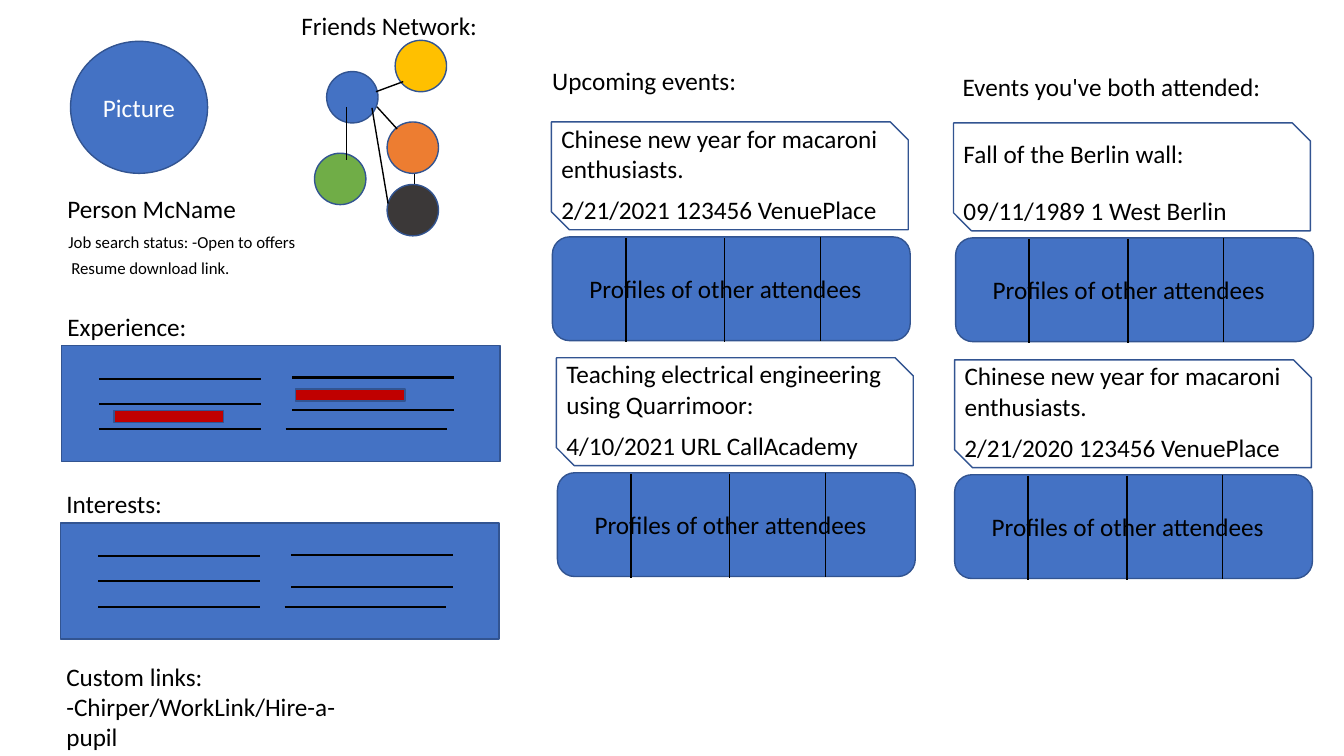
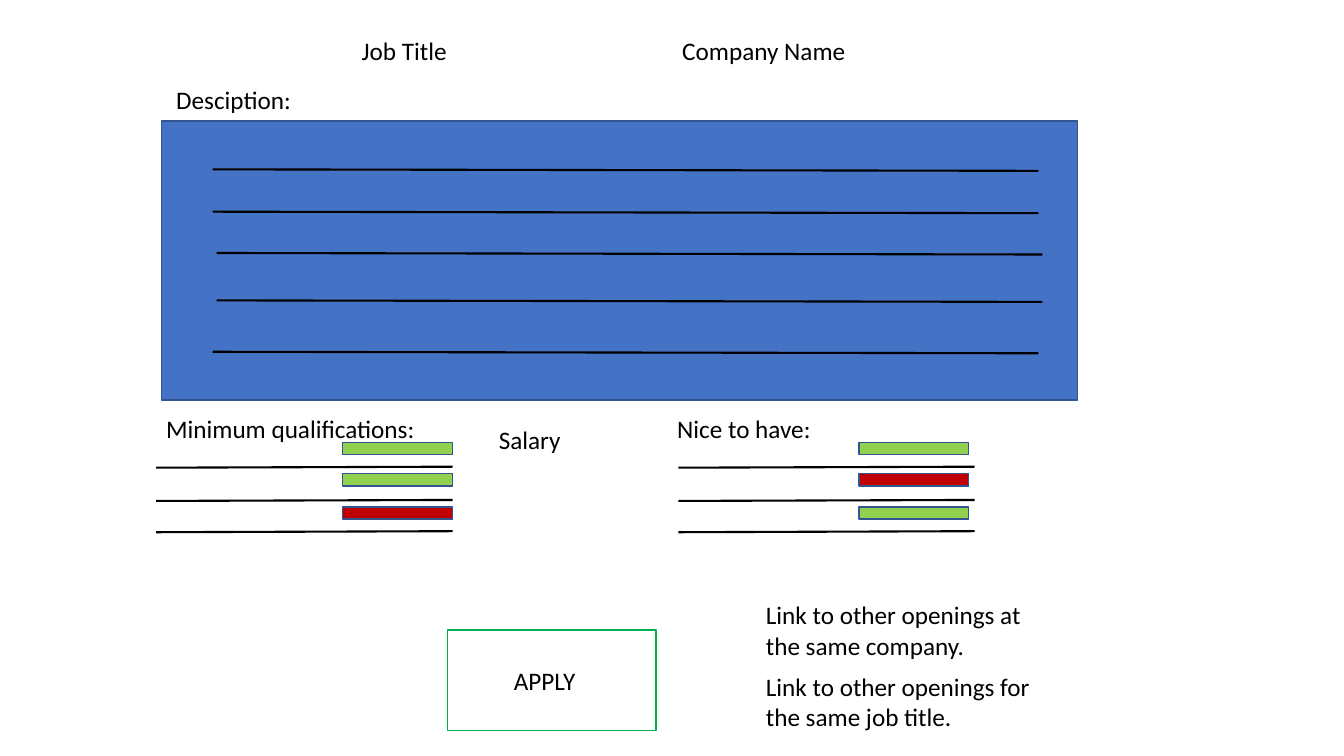
import lxml.etree
import pptx
import pptx.dml.color
import pptx.enum.shapes
import pptx.enum.text
import pptx.oxml.ns
import pptx.util

COLORS = {
    "blue": "4472C4", "outline": "325491", "ink": "000000", "white": "FFFFFF",
    "yellow": "FFC000", "orange": "ED7D31", "charcoal": "3B3838", "green": "70AD47",
    "red": "C00000", "lime": "92D050", "apply": "00B050",
}
FONT = "Calibri"
CELL = pptx.util.Inches(0.1)  # side of a grid cell; all lengths count cells
SLIDE_COLUMNS, SLIDE_ROWS = 133.33, 75
BODY, SMALL = 18, 12
RULE, HAIRLINE = 1.5, 1
SHAPES = pptx.enum.shapes.MSO_SHAPE


def cells(*counts):
    """Turn counts of grid cells into slide lengths."""
    return [round(count * CELL) for count in counts]


def rgb(color):
    """Look up a named colour."""
    return pptx.dml.color.RGBColor.from_string(COLORS[color])


def style_text(frame, text, size, color):
    """Fill a text frame and give all its runs one font."""
    frame.text = text
    for paragraph in frame.paragraphs:
        for run in paragraph.runs:
            run.font.name = FONT
            run.font.size = pptx.util.Pt(size)
            run.font.color.rgb = rgb(color)


def label(slide, text, left, top, width=30, height=4, size=BODY):
    """Place wrapped text in its own box."""
    frame = slide.shapes.add_textbox(*cells(left, top, width, height)).text_frame
    frame.word_wrap = True
    frame.auto_size = pptx.enum.text.MSO_AUTO_SIZE.SHAPE_TO_FIT_TEXT
    style_text(frame, text, size, "ink")


def block(slide, kind, left, top, width, height, fill=None, outline="outline"):
    """Place an outlined preset shape, hollow unless a fill is named."""
    shape = slide.shapes.add_shape(kind, *cells(left, top, width, height))
    shape.shadow.inherit = False
    if fill:
        shape.fill.solid()
        shape.fill.fore_color.rgb = rgb(fill)
    else:
        shape.fill.background()
    shape.line.color.rgb = rgb(outline)
    shape.line.width = pptx.util.Pt(1)
    return shape


def stroke(slide, x1, y1, x2, y2, weight=RULE):
    """Draw a straight black line."""
    line = slide.shapes.add_connector(
        pptx.enum.shapes.MSO_CONNECTOR.STRAIGHT, *cells(x1, y1, x2, y2))
    line.line.color.rgb = rgb("ink")
    line.line.width = pptx.util.Pt(weight)
    lxml.etree.SubElement(line.element.spPr, pptx.oxml.ns.qn("a:effectLst"))


def marker(slide, left, top, color):
    """Place a small bar that highlights one line of a list."""
    block(slide, SHAPES.RECTANGLE, left, top, 10.9, 1.2, color)


def person(slide, left, top):
    """Portrait, name and job status."""
    portrait = block(slide, SHAPES.OVAL, left, top, 13.6, 13.1, "blue")
    style_text(portrait.text_frame, "Picture", BODY, "white")
    portrait.text_frame.vertical_anchor = pptx.enum.text.MSO_ANCHOR.MIDDLE
    portrait.text_frame.paragraphs[0].alignment = pptx.enum.text.PP_ALIGN.CENTER
    label(slide, "Person McName", left - 1.3, top + 14.6)
    label(slide, "Job search status: -Open to offers", left - 1.2, top + 18.4,
          height=3, size=SMALL)
    label(slide, "Resume download link.", left - 0.9, top + 21, height=3, size=SMALL)


def friends(slide, left, top):
    """Network of friends under its heading."""
    label(slide, "Friends Network:", left, top, 30.2, 7.1)
    circles = [(3.5, 6.6, "blue"), (10.3, 3.5, "yellow"), (9.5, 11.6, "orange"),
               (9.5, 17.8, "charcoal"), (2.3, 14.7, "green")]
    for x, y, color in circles:
        block(slide, SHAPES.OVAL, left + x, top + y, 5.1, 5.1, color)
    ties = [(5.5, 10.1, 5.5, 15.4), (12.2, 16.8, 12.2, 17.8), (8, 10.2, 9.6, 19.7),
            (11.1, 7.6, 8.4, 8.6), (8.5, 10.1, 10.5, 12.3)]
    for x1, y1, x2, y2 in ties:
        stroke(slide, left + x1, top + y1, left + x2, top + y2, HAIRLINE)


def profile_panel(slide, heading, left, top, markers=()):
    """Headed panel with two columns of lines and optional markers."""
    label(slide, heading, left - 0.4, top - 3.95, height=7.1)
    block(slide, SHAPES.RECTANGLE, left, top, 43.5, 11.5, "blue")
    starts = [(3.75, 3.3), (3.75, 5.75), (3.75, 8.3),
              (22.9, 3.15), (22.9, 6.35), (22.25, 8.3)]
    for x, y in starts:
        stroke(slide, left + x, top + y, left + x + 16, top + y)
    for x, y in markers:
        marker(slide, left + x, top + y, "red")


def event(slide, title, details, left, top, title_drop=-0.4, attendees_shift=0.1):
    """Event card above the strip of attendee profiles."""
    label(slide, title, left, top + title_drop, 35.5, 7.1)
    label(slide, details, left, top + 6.7, 33.6)
    block(slide, SHAPES.SNIP_2_DIAG_RECTANGLE, left, top, 35.4, 10.7)
    strip_left, strip_top = left + attendees_shift, top + 11.4
    block(slide, SHAPES.ROUNDED_RECTANGLE, strip_left, strip_top, 35.5, 10.3, "blue")
    label(slide, "Profiles of other attendees", strip_left + 2.7, strip_top + 3.1)
    for x, drop in [(7.3, 0.1), (17.1, 0.1), (26.6, 0)]:
        stroke(slide, strip_left + x, strip_top + drop,
               strip_left + x, strip_top + drop + 10.3, HAIRLINE)


def description(slide, left, top):
    """Headed panel of slightly sloping lines."""
    block(slide, SHAPES.RECTANGLE, left, top, 90.9, 27.7, "blue")
    for x, y in [(5.1, 4.8), (5.1, 9), (5.5, 13.1), (5.5, 17.8), (5.1, 22.9)]:
        stroke(slide, left + x, top + y, left + x + 81.9, top + y + 0.15)
    label(slide, "Desciption:", left + 0.5, top - 4.1)


def qualifications(slide, heading, left, top, line_left, marker_left, colors):
    """Headed list of lines, each with a coloured marker above it."""
    label(slide, heading, left, top)
    rows = zip((5.9, 9.2, 12.3), (3.4, 6.5, 9.8), colors)
    for line_drop, marker_drop, color in rows:
        stroke(slide, line_left, top + line_drop,
               line_left + 29.4, top + line_drop - 0.1)
        marker(slide, marker_left, top + marker_drop, color)


def profile_slide(slide):
    """Profile page: the person on the left, two columns of events."""
    person(slide, 7, 4.1)
    friends(slide, 28.9, 0.5)
    profile_panel(slide, "Experience:", 6.1, 34.3, [(23.2, 4.3), (5.2, 6.4)])
    profile_panel(slide, "Interests:", 6, 51.9)
    label(slide, "Custom links:\n-Chirper/WorkLink/Hire-a-pupil", 5.6, 65.1, 33.3, 7.1)
    label(slide, "Upcoming events:", 53.8, 6, height=7.1)
    event(slide, "Chinese new year for macaroni enthusiasts.",
          "2/21/2021 123456 VenuePlace", 54.7, 12.1)
    event(slide, "Teaching electrical engineering using Quarrimoor:",
          "4/10/2021 URL CallAcademy", 55.2, 35.5)
    label(slide, "Events you've both attended:", 94.5, 6.6, 34.2)
    event(slide, "Fall of the Berlin wall:", "09/11/1989 1 West Berlin",
          94.6, 12.2, title_drop=1, attendees_shift=0.2)
    event(slide, "Chinese new year for macaroni enthusiasts.",
          "2/21/2020 123456 VenuePlace", 94.7, 35.7, attendees_shift=0)


def job_slide(slide):
    """Job page: description, qualifications and the apply button."""
    label(slide, "Job Title", 34.9, 3, 11.6)
    label(slide, "Company Name", 66.7, 3)
    description(slide, 16, 12)
    qualifications(slide, "Minimum qualifications:", 15.5, 40.5, 15.5, 34,
                   ("lime", "lime", "red"))
    qualifications(slide, "Nice to have:", 66.2, 40.5, 67.3, 85.2,
                   ("lime", "red", "lime"))
    label(slide, "Salary", 48.5, 41.6, 11.6)
    block(slide, SHAPES.RECTANGLE, 44.4, 62.5, 20.7, 10, outline="apply")
    label(slide, "APPLY", 50, 65.5, 11.6)
    links = ["Link to other openings at the same company.",
             "Link to other openings for the same job title."]
    for row, link in enumerate(links):
        label(slide, link, 75, 59 + 7.1 * row, height=7.1)


def main():
    """Build both pages and save the deck."""
    deck = pptx.Presentation()
    deck.slide_width, deck.slide_height = cells(SLIDE_COLUMNS, SLIDE_ROWS)
    blank = deck.slide_layouts[6]
    for build in (profile_slide, job_slide):
        build(deck.slides.add_slide(blank))
    deck.save("out.pptx")


main()
